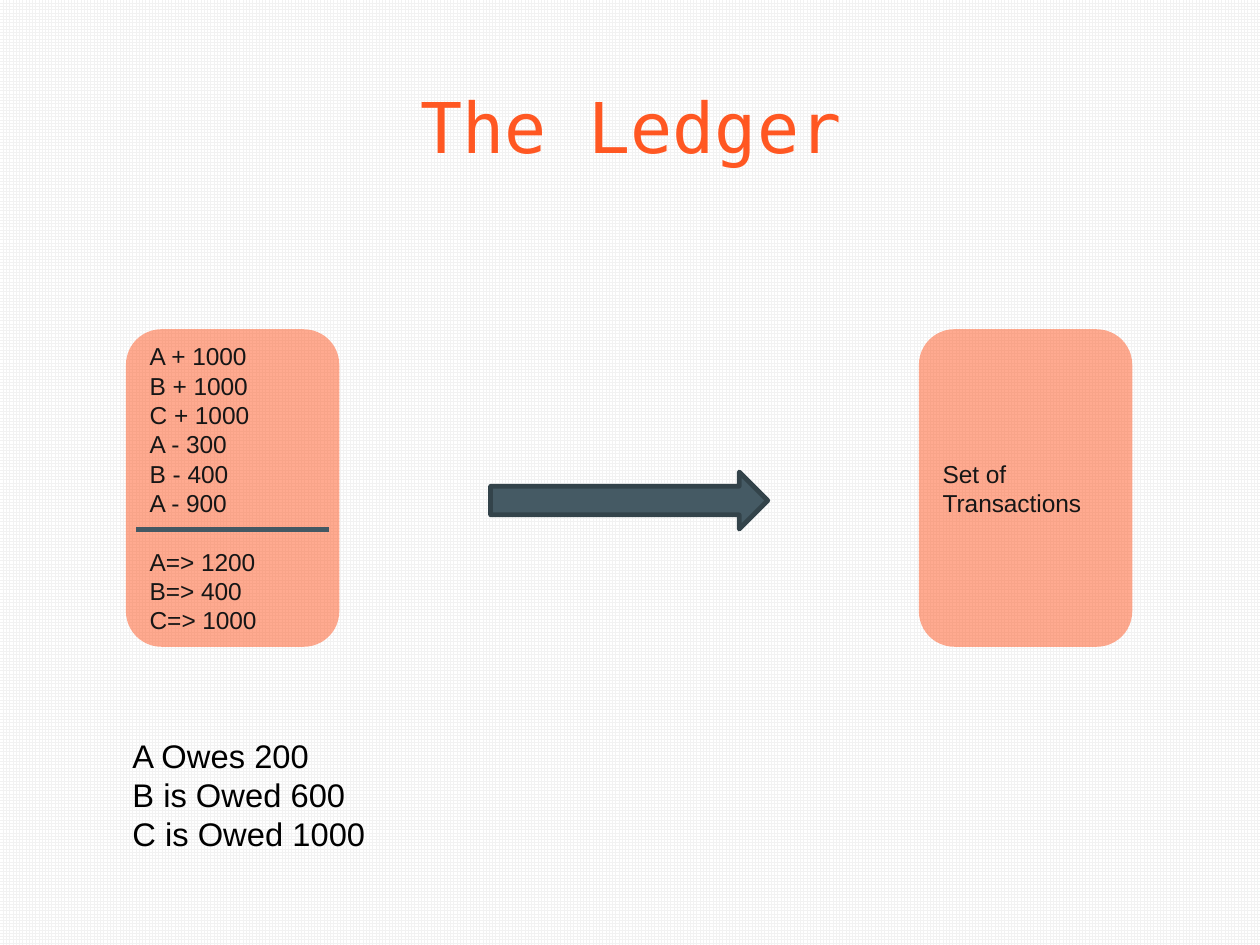
from dataclasses import dataclass

from lxml.etree import SubElement
from pptx import Presentation
from pptx.dml.color import RGBColor
from pptx.enum.dml import MSO_PATTERN
from pptx.enum.shapes import MSO_CONNECTOR, MSO_SHAPE
from pptx.enum.text import MSO_ANCHOR, MSO_AUTO_SIZE, PP_ALIGN
from pptx.oxml.ns import qn
from pptx.util import Inches, Pt


@dataclass(frozen=True)
class Theme:
    """Colours, fonts and type sizes of the slide."""
    accent: RGBColor = RGBColor(0xFF, 0x57, 0x22)
    card_text: RGBColor = RGBColor(0x16, 0x16, 0x16)
    note_text: RGBColor = RGBColor(0, 0, 0)
    rule: RGBColor = RGBColor(0x43, 0x58, 0x63)
    arrow: RGBColor = RGBColor(0x45, 0x5A, 0x64)
    arrow_edge: RGBColor = RGBColor(0x33, 0x43, 0x4A)
    grid: RGBColor = RGBColor(0xF2, 0xF2, 0xF2)
    paper: RGBColor = RGBColor(0xFF, 0xFF, 0xFF)
    title_font: str = "DejaVu Sans Mono"
    body_font: str = "Arial"
    title_size: float = 30
    card_size: float = 10.5
    note_size: float = 14


THEME = Theme()


def write(frame, text, font, size, color, align=PP_ALIGN.LEFT):
    """Fill a text frame and give all its runs one look."""
    frame.text = text
    frame.word_wrap = True
    frame.auto_size = MSO_AUTO_SIZE.NONE
    for para in frame.paragraphs:
        para.alignment = align
        for span in para.runs:
            span.font.name = font
            span.font.size = Pt(size)
            span.font.color.rgb = color


def paint_background(page):
    """Cover the page with a pale small grid."""
    fill = page.background.fill
    fill.patterned()
    fill.pattern = MSO_PATTERN.SMALL_GRID
    fill.fore_color.rgb = THEME.grid
    fill.back_color.rgb = THEME.paper


def place_title(page, text, left, top, width, height):
    """Place and format the title placeholder."""
    title = page.shapes.title
    title.left, title.top = Inches(left), Inches(top)
    title.width, title.height = Inches(width), Inches(height)
    frame = title.text_frame
    frame.margin_left = frame.margin_right = Inches(0.1)
    frame.margin_top = frame.margin_bottom = Inches(0.1)
    frame.vertical_anchor = MSO_ANCHOR.TOP
    write(frame, text, THEME.title_font, THEME.title_size, THEME.accent, PP_ALIGN.CENTER)


def add_card(page, text, left, top, width, height):
    """Add a translucent rounded card and return its text frame."""
    card = page.shapes.add_shape(
        MSO_SHAPE.ROUNDED_RECTANGLE, Inches(left), Inches(top), Inches(width), Inches(height))
    card.shadow.inherit = False
    card.line.fill.background()
    card.fill.solid()
    card.fill.fore_color.rgb = THEME.accent
    color = card.fill._xPr.find(qn("a:solidFill"))[0]
    SubElement(color, qn("a:alpha"), val="50000")
    frame = card.text_frame
    frame.margin_left = frame.margin_right = Inches(0.08)
    frame.margin_top = frame.margin_bottom = Inches(0.04)
    frame.vertical_anchor = MSO_ANCHOR.MIDDLE
    write(frame, text, THEME.body_font, THEME.card_size, THEME.card_text)
    return frame


def add_ledger(page, entries, balances, left, top, width, height):
    """Add the ledger card with a rule between entries and balances."""
    frame = add_card(page, "\n".join(entries + balances), left, top, width, height)
    frame.paragraphs[len(entries)].space_before = Pt(12.5)
    margin, rule_top = 0.06, top + 1.19
    rule = page.shapes.add_connector(
        MSO_CONNECTOR.STRAIGHT, Inches(left + margin), Inches(rule_top),
        Inches(left + width - margin), Inches(rule_top))
    rule.line.color.rgb = THEME.rule
    rule.line.width = Pt(2.25)
    SubElement(rule._element.spPr, qn("a:effectLst"))


def add_flow_arrow(page, left, top, width, height):
    """Add the arrow that leads from the ledger to the set."""
    arrow = page.shapes.add_shape(
        MSO_SHAPE.RIGHT_ARROW, Inches(left), Inches(top), Inches(width), Inches(height))
    arrow.shadow.inherit = False
    arrow.fill.solid()
    arrow.fill.fore_color.rgb = THEME.arrow
    arrow.line.color.rgb = THEME.arrow_edge
    arrow.line.width = Pt(2)


def add_note(page, lines, left, top, width, height):
    """Add the settlement note under the ledger."""
    note = page.shapes.add_textbox(Inches(left), Inches(top), Inches(width), Inches(height))
    write(note.text_frame, "\n".join(lines), THEME.body_font, THEME.note_size, THEME.note_text)


def build_ledger_page(deck):
    """Build the slide about the ledger."""
    page = deck.slides.add_slide(deck.slide_layouts[5])
    paint_background(page)
    place_title(page, "The Ledger", 0.26, 0.4, 6.99, 0.47)
    card_top, card_width, card_height = 1.96, 1.27, 1.89
    entries = ["A + 1000", "B + 1000", "C + 1000", "A - 300", "B - 400", "A - 900"]
    balances = ["A=> 1200", "B=> 400", "C=> 1000"]
    add_ledger(page, entries, balances, 0.75, card_top, card_width, card_height)
    add_card(page, "Set of Transactions", 5.47, card_top, card_width, card_height)
    add_flow_arrow(page, 2.92, 2.81, 1.65, 0.34)
    add_note(page, ["A Owes 200", "B is Owed 600", "C is Owed 1000"], 0.69, 4.33, 1.73, 1.04)


def main():
    """Create the deck and save it."""
    deck = Presentation()
    deck.slide_width = Inches(7.5)
    deck.slide_height = deck.slide_width * 3 // 4
    build_ledger_page(deck)
    deck.save("out.pptx")


if __name__ == "__main__":
    main()
